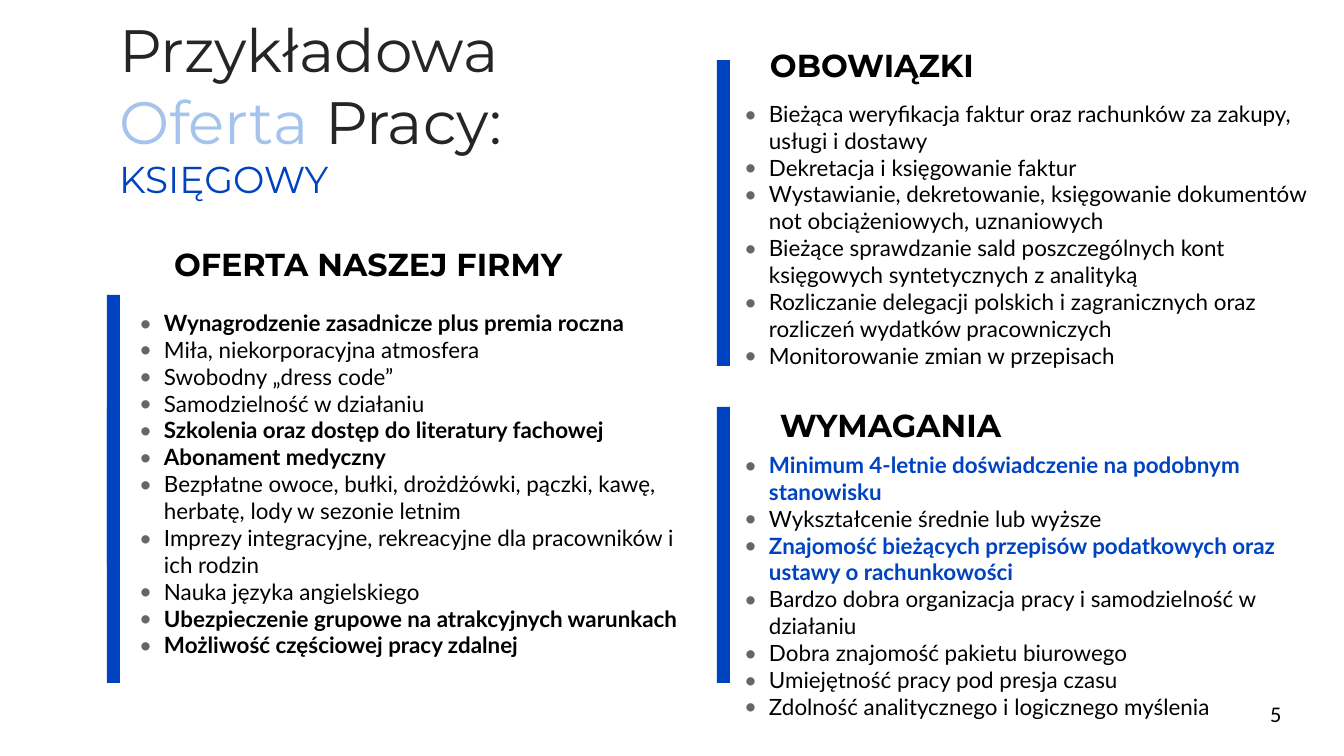
import pptx
import pptx.dml.color
import pptx.enum.shapes
import pptx.enum.text
import pptx.oxml.ns
import pptx.util
from lxml import etree

COLORS = {"blue": "0043C1", "pale": "A4C4EE", "ink": "252525",
          "black": "000000", "bullet": "666666"}

TITLE = [("Przykładowa ", 32, "ink"), ("Oferta", 32, "pale"),
         (" Pracy:", 32, "ink"), ("\n", 20, "blue"), ("KSIĘGOWY", 20, "blue")]
TITLE_BOX = (106, 17, 519, 197)

PLAIN, BOLD, KEY = ("black", False), ("black", True), ("blue", True)

SECTIONS = [
    {"heading": "OFERTA NASZEJ FIRMY", "heading_box": (161, 223, 500, 73),
     "list_box": (126, 296, 569, 472), "placeholders": (1, 2),
     "items": [
         ("Wynagrodzenie zasadnicze plus premia roczna", BOLD),
         ("Miła, niekorporacyjna atmosfera", PLAIN),
         ("Swobodny „dress code”", PLAIN),
         ("Samodzielność w działaniu", PLAIN),
         ("Szkolenia oraz dostęp do literatury fachowej", BOLD),
         ("Abonament medyczny", BOLD),
         ("Bezpłatne owoce, bułki, drożdżówki, pączki, kawę, herbatę, lody w sezonie letnim", PLAIN),
         ("Imprezy integracyjne, rekreacyjne dla pracowników i ich rodzin", PLAIN),
         ("Nauka języka angielskiego", PLAIN),
         ("Ubezpieczenie grupowe na atrakcyjnych warunkach", BOLD),
         ("Możliwość częściowej pracy zdalnej", BOLD)]},
    {"heading": "WYMAGANIA", "heading_box": (767, 384, 500, 73),
     "list_box": (731, 438, 597, 187), "placeholders": (3, 4),
     "items": [
         ("Minimum 4-letnie doświadczenie na podobnym stanowisku", KEY),
         ("Wykształcenie średnie lub wyższe", PLAIN),
         ("Znajomość bieżących przepisów podatkowych oraz ustawy o rachunkowości", KEY),
         ("Bardzo dobra organizacja pracy i samodzielność w działaniu", PLAIN),
         ("Dobra znajomość pakietu biurowego", PLAIN),
         ("Umiejętność pracy pod presja czasu", PLAIN),
         ("Zdolność analitycznego i logicznego myślenia", PLAIN)]},
    {"heading": "OBOWIĄZKI", "heading_box": (757, 24, 500, 73),
     "list_box": (731, 87, 597, 187), "placeholders": None,
     "items": [
         ("Bieżąca weryfikacja faktur oraz rachunków za zakupy, usługi i dostawy", PLAIN),
         ("Dekretacja i księgowanie faktur", PLAIN),
         ("Wystawianie, dekretowanie, księgowanie dokumentów not obciążeniowych, uznaniowych", PLAIN),
         ("Bieżące sprawdzanie sald poszczególnych kont księgowych syntetycznych z analityką", PLAIN),
         ("Rozliczanie delegacji polskich i zagranicznych oraz rozliczeń wydatków pracowniczych", PLAIN),
         ("Monitorowanie zmian w przepisach", PLAIN)]},
]

BAR_WIDTH = 13
BARS = [(107, 407, 276), (717, 407, 276), (717, 60, 306), (107, 295, 270)]
PAGE_NUMBER, PAGE_NUMBER_BOX = "5", (1257, 685, 81, 58)
INSET, INDENT = 13, 25

ANCHOR = pptx.enum.text.MSO_ANCHOR


def px(length):
    return pptx.util.Emu(round(length * 914400 / 134.4))


def color(name):
    return pptx.dml.color.RGBColor.from_string(COLORS[name])


def style(font, face, size, color_name, bold=False):
    font.name, font.size, font.bold = face, pptx.util.Pt(size), bold
    font.color.rgb = color(color_name)


def text_area(box, anchor, placeholder=None):
    left, top, width, height = map(px, box)
    area = placeholder or slide.shapes.add_textbox(left, top, width, height)
    area.left, area.top, area.width, area.height = left, top, width, height
    frame = area.text_frame
    frame.word_wrap = True
    frame.auto_size = pptx.enum.text.MSO_AUTO_SIZE.NONE
    frame.vertical_anchor = anchor
    frame.margin_left = frame.margin_right = px(INSET)
    frame.margin_top = frame.margin_bottom = px(INSET)
    return frame


def set_left(paragraph):
    paragraph.alignment = pptx.enum.text.PP_ALIGN.LEFT
    paragraph.space_before = pptx.util.Pt(0)


def add_bullet(paragraph):
    qn = pptx.oxml.ns.qn
    properties = paragraph._p.get_or_add_pPr()
    properties.set("marL", str(px(INDENT)))
    properties.set("indent", str(-px(INDENT)))
    bullet_color = etree.SubElement(properties, qn("a:buClr"))
    etree.SubElement(bullet_color, qn("a:srgbClr"), val=COLORS["bullet"])
    etree.SubElement(properties, qn("a:buFont"), typeface="Lato")
    etree.SubElement(properties, qn("a:buChar"), char="•")


def add_title():
    paragraph = text_area(TITLE_BOX, ANCHOR.BOTTOM, slide.shapes.title).paragraphs[0]
    set_left(paragraph)
    for text, size, color_name in TITLE:
        if text == "\n":
            paragraph.add_line_break()
            continue
        run = paragraph.add_run()
        run.text = text
        style(run.font, "Montserrat", size, color_name)


def add_section(section):
    heading_holder, list_holder = (
        [slide.placeholders[index] for index in section["placeholders"]]
        if section["placeholders"] else (None, None))

    heading = text_area(section["heading_box"], ANCHOR.BOTTOM, heading_holder)
    heading.text = section["heading"]
    set_left(heading.paragraphs[0])
    style(heading.paragraphs[0].runs[0].font, "Montserrat", 17, "black", True)

    body = text_area(section["list_box"], ANCHOR.TOP, list_holder)
    body.text = "\n".join(text for text, _ in section["items"])
    for paragraph, (_, (color_name, bold)) in zip(body.paragraphs, section["items"]):
        set_left(paragraph)
        add_bullet(paragraph)
        style(paragraph.runs[0].font, "Lato", 12, color_name, bold)


presentation = pptx.Presentation()
presentation.slide_width, presentation.slide_height = px(1344), px(756)
slide = presentation.slides.add_slide(presentation.slide_layouts.get_by_name("Comparison"))

for left, top, height in BARS:
    bar = slide.shapes.add_shape(pptx.enum.shapes.MSO_SHAPE.RECTANGLE,
                                 px(left), px(top), px(BAR_WIDTH), px(height))
    bar.shadow.inherit = False
    bar.fill.solid()
    bar.fill.fore_color.rgb = color("blue")
    bar.line.fill.background()

add_title()
for section in SECTIONS:
    add_section(section)

page_number = text_area(PAGE_NUMBER_BOX, ANCHOR.MIDDLE)
page_number.text = PAGE_NUMBER
set_left(page_number.paragraphs[0])
style(page_number.paragraphs[0].runs[0].font, "Calibri", 12, "black")

presentation.save("out.pptx")
